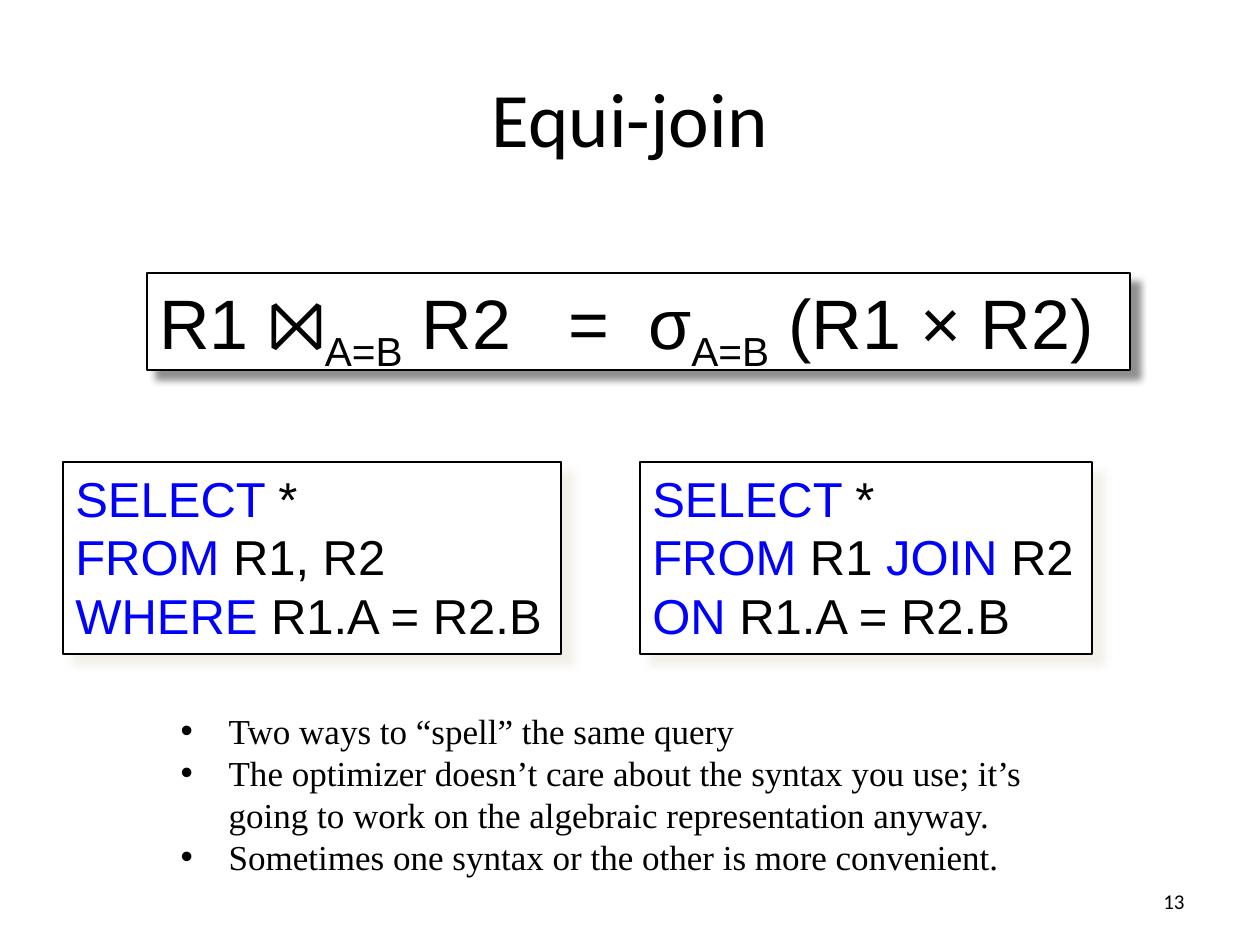
"""Build the Equi-join slide: a formula, two equivalent queries and remarks."""
import pptx
import pptx.dml.color
import pptx.enum.shapes
import pptx.enum.text
import pptx.oxml
import pptx.oxml.ns
import pptx.util
from lxml import etree

PIXEL = 914400 // 126
BLACK = pptx.dml.color.RGBColor(0, 0, 0)
WHITE = pptx.dml.color.RGBColor(255, 255, 255)
KEYWORD_BLUE = pptx.dml.color.RGBColor(0, 0, 255)
ALIGN = pptx.enum.text.PP_ALIGN
MIDDLE = pptx.enum.text.MSO_ANCHOR.MIDDLE

TITLE = "Equi-join"
PAGE_NUMBER = "13"
KEYWORDS = {"SELECT ", "FROM ", "WHERE ", "JOIN", "ON "}
SUBSCRIPT = "A=B"
FORMULA = [["R1 ⨝", SUBSCRIPT, " R2\t=\tσ", SUBSCRIPT, " (R1 × R2)"]]
FORMULA_TABS = (409, 489)
WHERE_QUERY = [["SELECT ", "*"], ["FROM ", "R1, R2"], ["WHERE ", "R1.A = R2.B"]]
JOIN_QUERY = [["SELECT ", "*"], ["FROM ", "R1 ", "JOIN", " R2"], ["ON ", "R1.A = R2.B"]]
REMARKS = [
    "Two ways to “spell” the same query",
    "The optimizer doesn’t care about the syntax you use; it’s going to work "
    "on the algebraic representation anyway.",
    "Sometimes one syntax or the other is more convenient.",
]
FORMULA_SHADOW = ("000000", 43, 4, 7)
QUERY_SHADOW = ("EEECE1", 75, 5, 8.5)
BOXES = [
    (FORMULA, (147, 273, 983, 97), 40, 0.75, FORMULA_SHADOW),
    (WHERE_QUERY, (63, 462, 498, 192), 28, 1, QUERY_SHADOW),
    (JOIN_QUERY, (640, 462, 452, 192), 28, 1, QUERY_SHADOW),
]


def px(*lengths):
    return [length * PIXEL for length in lengths]


def place(shape, *box):
    shape.left, shape.top, shape.width, shape.height = px(*box)


def style(run, size, font, color=BLACK):
    run.font.size = pptx.util.Pt(size)
    run.font.name = font
    run.font.color.rgb = color


def add_shadow(shape, color, opacity, blur, distance):
    shape.shadow.inherit = False
    effects = shape._element.spPr.find(pptx.oxml.ns.qn("a:effectLst"))
    effects.append(pptx.oxml.parse_xml(
        f'<a:outerShdw {pptx.oxml.ns.nsdecls("a")} blurRad="{int(blur * 12700)}" '
        f'dist="{int(distance * 12700)}" dir="2700000" algn="tl" rotWithShape="0">'
        f'<a:srgbClr val="{color}"><a:alpha val="{opacity * 1000}"/></a:srgbClr>'
        '</a:outerShdw>'))


def add_code_box(slide, lines, box, size, line_width, shadow):
    shape = slide.shapes.add_shape(pptx.enum.shapes.MSO_SHAPE.RECTANGLE, *px(*box))
    shape.fill.solid()
    shape.fill.fore_color.rgb = WHITE
    shape.line.color.rgb = BLACK
    shape.line.width = pptx.util.Pt(line_width)
    add_shadow(shape, *shadow)
    frame = shape.text_frame
    frame.word_wrap = False
    frame.vertical_anchor = pptx.enum.text.MSO_ANCHOR.TOP
    for index, parts in enumerate(lines):
        paragraph = frame.add_paragraph() if index else frame.paragraphs[0]
        paragraph.alignment = ALIGN.LEFT
        for part in parts:
            run = paragraph.add_run()
            run.text = part
            style(run, size, "Arial", KEYWORD_BLUE if part in KEYWORDS else BLACK)
            if part == SUBSCRIPT:
                run.font._element.set("baseline", "-25000")
    return shape


def set_tabs(paragraph, positions):
    tab_list = etree.SubElement(paragraph._p.get_or_add_pPr(), pptx.oxml.ns.qn("a:tabLst"))
    for position in px(*positions):
        etree.SubElement(tab_list, pptx.oxml.ns.qn("a:tab"), pos=str(position), algn="l")


def set_bullet(paragraph, indent):
    properties = paragraph._p.get_or_add_pPr()
    properties.set("marL", str(indent))
    properties.set("indent", str(-indent))
    font = etree.SubElement(properties, pptx.oxml.ns.qn("a:buFont"))
    font.set("typeface", "Arial")
    etree.SubElement(properties, pptx.oxml.ns.qn("a:buChar"), char="•")


presentation = pptx.Presentation()
presentation.slide_width, presentation.slide_height = px(1260, 945)
slide = presentation.slides.add_slide(presentation.slide_layouts[1])
title, remarks = slide.placeholders

place(title, 63, 38, 1134, 157)
title.text_frame.text = TITLE
title.text_frame.vertical_anchor = MIDDLE
title.text_frame.paragraphs[0].alignment = ALIGN.CENTER
style(title.text_frame.paragraphs[0].runs[0], 44, "Calibri")

formula, *queries = [add_code_box(slide, *box) for box in BOXES]
set_tabs(formula.text_frame.paragraphs[0], FORMULA_TABS)

place(remarks, 168, 703, 903, 183)
remarks.text_frame.text = "\n".join(REMARKS)
remarks.text_frame.auto_size = pptx.enum.text.MSO_AUTO_SIZE.NONE
for paragraph in remarks.text_frame.paragraphs:
    paragraph.space_before = pptx.util.Pt(0)
    set_bullet(paragraph, 48 * PIXEL)
    style(paragraph.runs[0], 20, "Times New Roman")

page_number = slide.shapes.add_textbox(*px(903, 876, 294, 50))
page_number.text_frame.word_wrap = True
page_number.text_frame.vertical_anchor = MIDDLE
page_number.text_frame.text = PAGE_NUMBER
page_number.text_frame.paragraphs[0].alignment = ALIGN.RIGHT
style(page_number.text_frame.paragraphs[0].runs[0], 12, "Calibri")

presentation.save("out.pptx")
